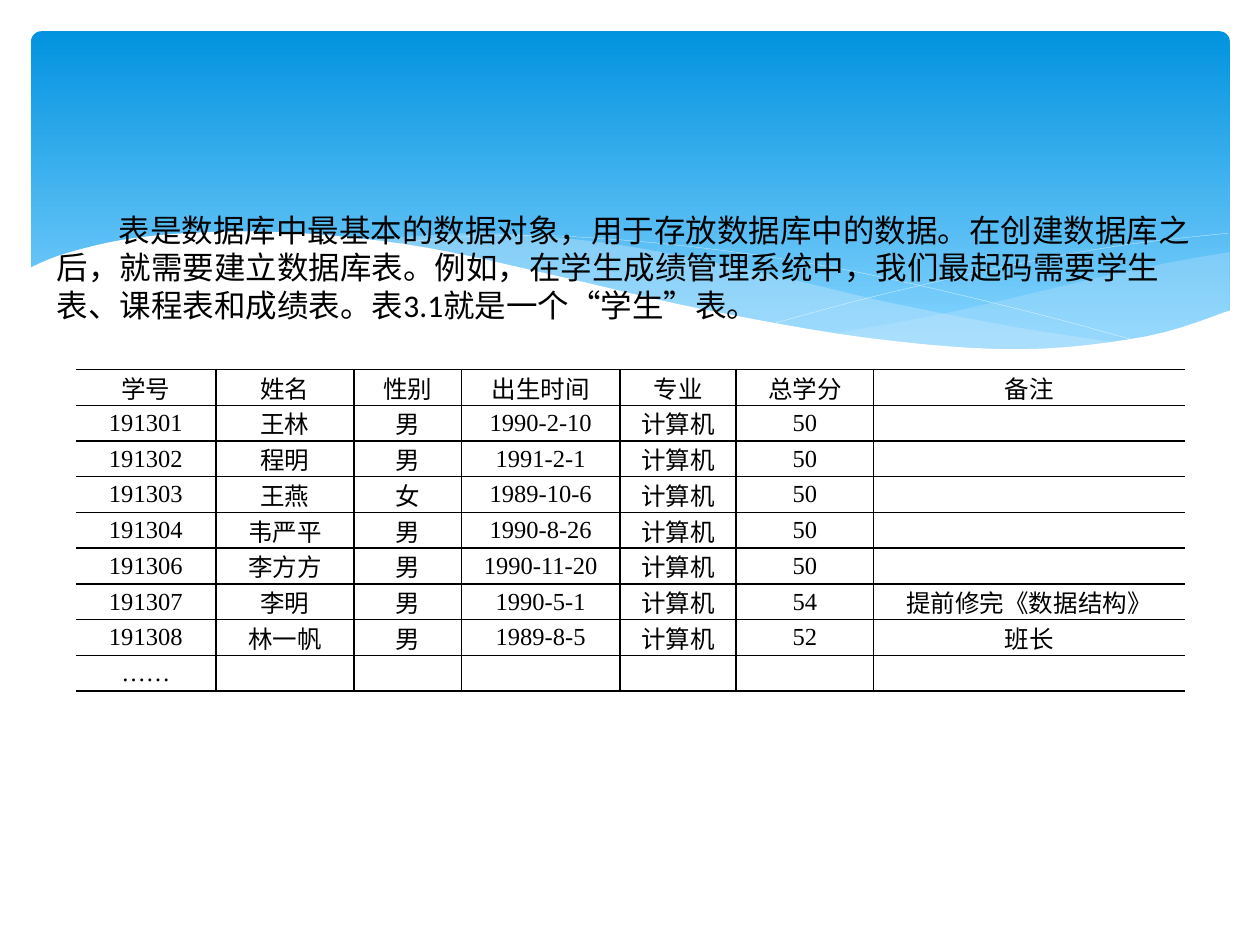
import pptx
import pptx.dml.color
import pptx.enum.shapes
import pptx.enum.text
import pptx.oxml.ns
import pptx.util
from lxml import etree

Cm, Pt = pptx.util.Cm, pptx.util.Pt
RGBColor = pptx.dml.color.RGBColor
qn = pptx.oxml.ns.qn

BLACK = RGBColor(0x00, 0x00, 0x00)
WHITE = RGBColor(0xFF, 0xFF, 0xFF)
BANNER_TOP = RGBColor(0x02, 0x93, 0xE0)
BANNER_BOTTOM = RGBColor(0x83, 0xD3, 0xFE)
PALE_BLUE = RGBColor(0xC6, 0xE7, 0xFC)

INTRO = (
    "表是数据库中最基本的数据对象，用于存放数据库中的数据。在创建数据库之后，就需要建立数据库表。"
    "例如，在学生成绩管理系统中，我们最起码需要学生表、课程表和成绩表。表3.1就是一个“学生”表。"
)

MAJOR = "计算机"
STUDENTS = [
    ("学号", "姓名", "性别", "出生时间", "专业", "总学分", "备注"),
    ("191301", "王林", "男", "1990-2-10", MAJOR, "50", ""),
    ("191302", "程明", "男", "1991-2-1", MAJOR, "50", ""),
    ("191303", "王燕", "女", "1989-10-6", MAJOR, "50", ""),
    ("191304", "韦严平", "男", "1990-8-26", MAJOR, "50", ""),
    ("191306", "李方方", "男", "1990-11-20", MAJOR, "50", ""),
    ("191307", "李明", "男", "1990-5-1", MAJOR, "54", "提前修完《数据结构》"),
    ("191308", "林一帆", "男", "1989-8-5", MAJOR, "52", "班长"),
    ("……", "", "", "", "", "", ""),
]
COLUMN_WIDTHS = (2.82, 2.79, 2.16, 3.2, 2.34, 2.77, 6.27)
ROW_HEIGHT = 0.72

# Each curve is a row of knots in centimetres; smooth_curve() fills in between.
RIGHT_CREST = [(24.79, 5.08), (23.39, 5.33), (21.87, 5.66), (19.13, 6.3), (16.79, 6.73)]
RIGHT_TROUGH = [(16.79, 6.73), (18.59, 6.96), (20.4, 7.06), (22.15, 6.96), (23.57, 6.68),
                (24.79, 6.27)]
MIDDLE_CREST = [(22.68, 6.93), (20.5, 6.6), (17.93, 6.1), (15.98, 5.64), (13.74, 5.16),
                (11.81, 4.85), (9.65, 4.7), (7.26, 4.85)]
MIDDLE_TROUGH = [(7.26, 4.85), (9.19, 5.16), (11.4, 5.64), (14.38, 6.3), (16.89, 6.76),
                 (19, 7.01), (20.78, 7.06), (22.68, 6.93)]
FALLING_LINE = [(7.85, 4.95), (8.97, 4.8), (11, 4.75), (13.54, 4.93), (16.15, 5.28),
                (18.47, 5.74), (21.11, 6.38), (23.04, 6.91)]
RISING_LINE = [(15.57, 6.53), (17.65, 5.97), (20.47, 5.33), (22.73, 4.93), (24.77, 4.7)]
WHITE_CREST = [(24.82, 6.25), (23.11, 6.78), (20.55, 7.04), (17.48, 6.81), (14.1, 6.22),
               (11.35, 5.59), (8.64, 5), (6.35, 4.72), (4.5, 4.67), (2.69, 4.8),
               (1.32, 5.11), (0.58, 5.41)]
WHITE_BASE = [(0.58, 8.36), (24.82, 8.36)]

# Curves joined end to end, fill colour, opacity in percent
FILLED_WAVES = [
    ((RIGHT_CREST, RIGHT_TROUGH), PALE_BLUE, 29),
    ((MIDDLE_CREST, MIDDLE_TROUGH), PALE_BLUE, 40),
]
WAVE_LINES = [FALLING_LINE, RISING_LINE]
WHITE_WAVE = ((WHITE_CREST, WHITE_BASE), WHITE, 100)
STEPS_PER_KNOT = 6


def smooth_curve(knots):
    """Return points on a Catmull-Rom spline that passes through all knots."""
    padded = [knots[0], *knots, knots[-1]]
    points = []
    for before, start, end, after in zip(padded, padded[1:], padded[2:], padded[3:]):
        for step in range(STEPS_PER_KNOT):
            t = step / STEPS_PER_KNOT
            points.append(tuple(
                b + t * ((c - a) + t * ((2 * a - 5 * b + 4 * c - d)
                                        + t * (3 * b - a - 3 * c + d))) / 2
                for a, b, c, d in zip(before, start, end, after)))
    return points + [knots[-1]]


def add_outline(slide, curves, close):
    points = [(Cm(x), Cm(y)) for knots in curves for x, y in smooth_curve(knots)]
    builder = slide.shapes.build_freeform(*points[0])
    builder.add_line_segments(points[1:], close=close)
    outline = builder.convert_to_shape()
    outline.shadow.inherit = False
    return outline


def add_filled_wave(slide, curves, color, opacity):
    wave = add_outline(slide, curves, close=True)
    wave.line.fill.background()
    wave.fill.solid()
    wave.fill.fore_color.rgb = color
    if opacity < 100:
        color_element = wave._element.spPr.find(".//" + qn("a:srgbClr"))
        etree.SubElement(color_element, qn("a:alpha"), val=str(opacity * 1000))


def add_wave_line(slide, knots):
    wave_line = add_outline(slide, [knots], close=False)
    wave_line.fill.background()
    wave_line.line.color.rgb = WHITE
    wave_line.line.width = Pt(0.1)


def add_banner(slide):
    banner = slide.shapes.add_shape(
        pptx.enum.shapes.MSO_SHAPE.ROUNDED_RECTANGLE, Cm(0.63), Cm(0.63), Cm(24.16), Cm(6.86))
    banner.adjustments[0] = 0.03
    banner.shadow.inherit = False
    banner.line.fill.background()
    banner.fill.gradient()
    banner.fill.gradient_angle = 270
    stops = banner.fill.gradient_stops
    stops[0].color.rgb, stops[0].position = BANNER_TOP, 0
    stops[1].color.rgb, stops[1].position = BANNER_BOTTOM, 0.9


def add_run(paragraph, text, font_name, size):
    run = paragraph.add_run()
    run.text = text
    run.font.name = font_name
    run.font.size = Pt(size)
    run.font.color.rgb = BLACK


def add_intro(slide):
    box = slide.shapes.add_textbox(Cm(0.9), Cm(4.12), Cm(23.6), Cm(3.33))
    box.text_frame.word_wrap = True
    box.text_frame.auto_size = pptx.enum.text.MSO_AUTO_SIZE.SHAPE_TO_FIT_TEXT
    paragraph = box.text_frame.paragraphs[0]
    properties = paragraph._p.get_or_add_pPr()
    properties.set("marL", "0")
    properties.set("indent", str(Cm(1.24)))
    properties.set("hangingPunct", "0")
    add_run(paragraph, INTRO, "Calibri", 18)


def set_borders(cell, visible_sides):
    """Draw the named sides (L, R, T, B) in black and leave the others empty."""
    properties = cell._tc.get_or_add_tcPr()
    for index, side in enumerate("LRTB"):
        border = etree.Element(qn("a:ln" + side), w=str(Pt(1)))
        if side in visible_sides:
            fill = etree.SubElement(border, qn("a:solidFill"))
            etree.SubElement(fill, qn("a:srgbClr"), val=str(BLACK))
        else:
            etree.SubElement(border, qn("a:noFill"))
        properties.insert(index, border)


def fill_cell(cell, text):
    cell.fill.background()
    cell.vertical_anchor = pptx.enum.text.MSO_ANCHOR.MIDDLE
    cell.margin_left = cell.margin_right = Cm(0.18)
    cell.margin_top = cell.margin_bottom = 0
    paragraph = cell.text_frame.paragraphs[0]
    paragraph.alignment = pptx.enum.text.PP_ALIGN.CENTER
    if text:
        paragraph.space_after = Pt(2)
        add_run(paragraph, text, "Times New Roman", 14)
    else:  # keeps an empty row from growing to the default text size
        etree.SubElement(paragraph._p, qn("a:endParaRPr"), sz="1400")


def add_student_table(slide):
    row_count, column_count = len(STUDENTS), len(COLUMN_WIDTHS)
    table = slide.shapes.add_table(
        row_count, column_count, Cm(1.53), Cm(7.45),
        Cm(sum(COLUMN_WIDTHS)), Cm(ROW_HEIGHT * row_count)).table
    table.first_row = table.horz_banding = False
    for column, width in zip(table.columns, COLUMN_WIDTHS):
        column.width = Cm(width)
    for row, texts in zip(table.rows, STUDENTS):
        row.height = Cm(ROW_HEIGHT)
        for index, (cell, text) in enumerate(zip(row.cells, texts)):
            fill_cell(cell, text)
            left = "L" if index > 0 else ""
            right = "R" if index < column_count - 1 else ""
            set_borders(cell, "TB" + left + right)


def main():
    presentation = pptx.Presentation()
    presentation.slide_width, presentation.slide_height = Cm(25.4), Cm(19.05)
    slide = presentation.slides.add_slide(presentation.slide_layouts[6])
    add_banner(slide)
    for wave in FILLED_WAVES:
        add_filled_wave(slide, *wave)
    for knots in WAVE_LINES:
        add_wave_line(slide, knots)
    add_filled_wave(slide, *WHITE_WAVE)
    add_intro(slide)
    add_student_table(slide)
    presentation.save("out.pptx")


if __name__ == "__main__":
    main()
